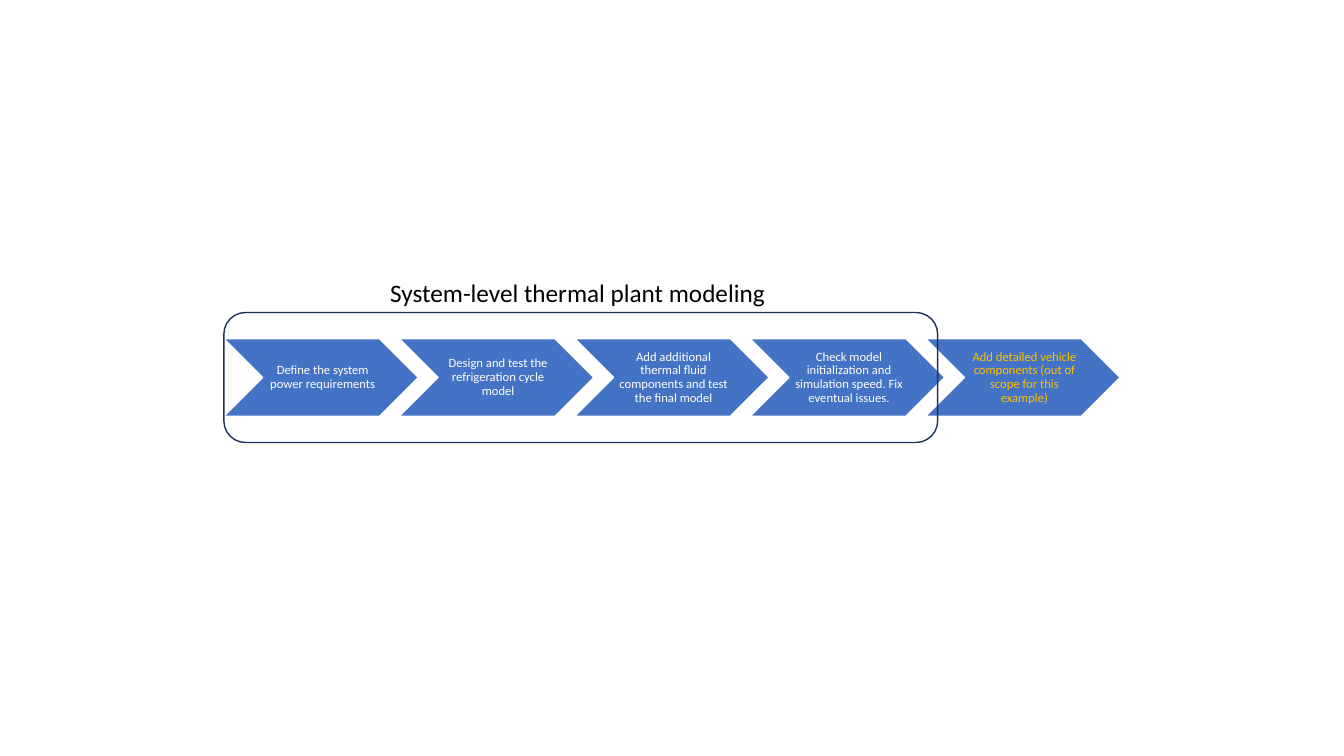
"""Build a slide with a five-step process and a frame around the modeling steps."""
import pptx
import pptx.util
import pptx.dml.color
import pptx.enum.shapes
import pptx.enum.text

Inches = pptx.util.Inches
Pt = pptx.util.Pt
RGBColor = pptx.dml.color.RGBColor
MSO_SHAPE = pptx.enum.shapes.MSO_SHAPE
PP_ALIGN = pptx.enum.text.PP_ALIGN
MSO_ANCHOR = pptx.enum.text.MSO_ANCHOR

BLUE = RGBColor(0x44, 0x72, 0xC4)
NAVY = RGBColor(0x1E, 0x32, 0x56)
WHITE = RGBColor(0xFF, 0xFF, 0xFF)
BLACK = RGBColor(0x00, 0x00, 0x00)
AMBER = RGBColor(0xFF, 0xC0, 0x00)

FONT = "Calibri"
GRID_LEFT, STEP_TOP = 2.22, 3.36
COLUMN = 1.74
STEP_WIDTH, STEP_HEIGHT = 1.93, 0.77

STEPS = [
    ("Define the system power requirements", WHITE),
    ("Design and test the refrigeration cycle model", WHITE),
    ("Add additional thermal fluid components and test the final model", WHITE),
    ("Check model initialization and simulation speed. Fix eventual issues.", WHITE),
    ("Add detailed vehicle components (out of scope for this example)", AMBER),
]


def set_text(tf, text, size, color, align):
    """Fill a text frame with one formatted paragraph."""
    tf.text = text
    p = tf.paragraphs[0]
    p.alignment = align
    font = p.runs[0].font
    font.name, font.size = FONT, Pt(size)
    font.color.rgb = color


def add_outlined(s, kind, box, line_color):
    """Add an unfilled preset shape with a thin outline."""
    sp = s.shapes.add_shape(kind, *map(Inches, box))
    sp.shadow.inherit = False
    sp.fill.background()
    sp.line.color.rgb = line_color
    sp.line.width = Pt(1)
    return sp


def add_step(s, column, text, color):
    """Add one chevron of the process in the given grid column."""
    box = (GRID_LEFT + column * COLUMN, STEP_TOP, STEP_WIDTH, STEP_HEIGHT)
    sp = add_outlined(s, MSO_SHAPE.CHEVRON, box, WHITE)
    sp.fill.solid()
    sp.fill.fore_color.rgb = BLUE
    tf = sp.text_frame
    tf.word_wrap = True
    tf.vertical_anchor = MSO_ANCHOR.MIDDLE
    tf.margin_left = Inches(0.04)
    tf.margin_top = tf.margin_right = tf.margin_bottom = Inches(0.01)
    set_text(tf, text, 9, color, PP_ALIGN.CENTER)
    tf.paragraphs[0].line_spacing = 0.9


def place_title(s, text, box):
    """Move and format the title placeholder."""
    sp = s.shapes.title
    sp.left, sp.top, sp.width, sp.height = map(Inches, box)
    tf = sp.text_frame
    set_text(tf, text, 18, BLACK, PP_ALIGN.LEFT)
    tf.word_wrap = False
    tf.auto_size = pptx.enum.text.MSO_AUTO_SIZE.SHAPE_TO_FIT_TEXT
    tf.vertical_anchor = MSO_ANCHOR.TOP


def main():
    """Create the presentation and save it."""
    prs = pptx.Presentation()
    prs.slide_width, prs.slide_height = Inches(13.33), Inches(7.5)
    s = prs.slides.add_slide(prs.slide_layouts[5])
    for column, (text, color) in enumerate(STEPS):
        add_step(s, column, text, color)
    place_title(s, "System-level thermal plant modeling", (3.77, 2.7, 3.96, 0.4))
    add_outlined(s, MSO_SHAPE.ROUNDED_RECTANGLE, (GRID_LEFT, 3.1, 7.08, 1.29), NAVY)
    prs.save("out.pptx")


if __name__ == "__main__":
    main()
